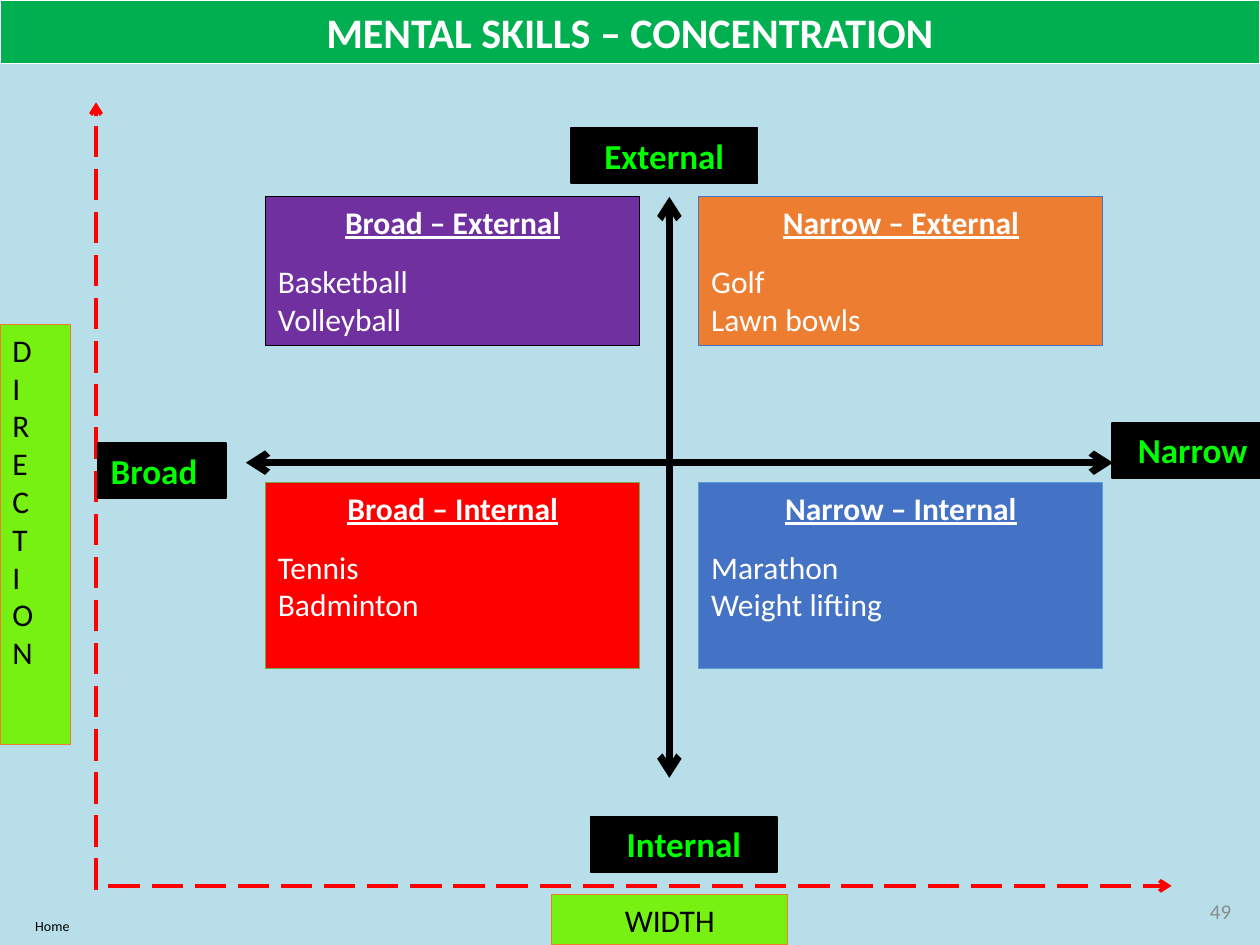
import dataclasses

import pptx
import pptx.dml.color
import pptx.enum.dml
import pptx.enum.shapes
import pptx.enum.text
import pptx.oxml
import pptx.oxml.ns
import pptx.util

Pt = pptx.util.Pt
ALIGN = pptx.enum.text.PP_ALIGN
ANCHOR = pptx.enum.text.MSO_ANCHOR


@dataclasses.dataclass(frozen=True)
class Theme:
    font: str = "Calibri"
    background: str = "B7DEE9"
    black: str = "000000"
    white: str = "FFFFFF"
    red: str = "FF0000"
    title_green: str = "00B050"
    lime: str = "76F112"
    pole_text: str = "00FF00"
    purple: str = "7030A0"
    orange: str = "ED7D31"
    blue: str = "4472C4"
    light_blue: str = "5B9BD5"
    leaf: str = "70AD47"
    grey: str = "8C8C8C"
    title_size: int = 24
    pole_size: int = 20
    body_size: int = 18
    number_size: int = 12
    home_size: int = 8


THEME = Theme()


def rgb(value):
    return pptx.dml.color.RGBColor.from_string(value)


def style_paragraph(paragraph, size, color, align=ALIGN.LEFT, bold=False, underline=False):
    paragraph.alignment = align
    font = paragraph.font
    font.name = THEME.font
    font.size = Pt(size)
    font.color.rgb = rgb(color)
    font.bold = bold
    font.underline = underline


def add_box(slide, bounds, fill, line, line_width=0.5):
    shape = slide.shapes.add_shape(
        pptx.enum.shapes.MSO_SHAPE.RECTANGLE, *[Pt(value) for value in bounds])
    shape.shadow.inherit = False
    shape.fill.solid()
    shape.fill.fore_color.rgb = rgb(fill)
    shape.line.color.rgb = rgb(line)
    shape.line.width = Pt(line_width)
    shape.text_frame.word_wrap = True
    shape.text_frame.vertical_anchor = ANCHOR.TOP
    return shape


def add_label(slide, bounds, text, fill, line, size, color,
              align=ALIGN.CENTER, bold=False, line_width=0.5):
    shape = add_box(slide, bounds, fill, line, line_width)
    shape.text_frame.text = text
    style_paragraph(shape.text_frame.paragraphs[0], size, color, align, bold)
    return shape


def add_pole(slide, left, top, width, text, align=ALIGN.CENTER):
    """Name one end of an attention axis."""
    add_label(slide, (left, top, width, 31.7), text, THEME.black, THEME.black,
              THEME.pole_size, THEME.pole_text, align, bold=True, line_width=1)


def add_stacked_label(slide, bounds, text):
    """Label with upright letters set one below the other."""
    shape = add_label(slide, bounds, text, THEME.lime, THEME.orange,
                      THEME.body_size, THEME.black, ALIGN.LEFT)
    shape.text_frame.word_wrap = False
    shape.text_frame.vertical_anchor = ANCHOR.MIDDLE
    body = shape.text_frame._txBody.find(pptx.oxml.ns.qn("a:bodyPr"))
    body.set("vert", "wordArtVert")


def add_quadrant(slide, bounds, heading, sports, fill, line):
    frame = add_box(slide, bounds, fill, line).text_frame
    frame.text = "\n".join([heading, *sports])
    title, *items = frame.paragraphs
    style_paragraph(title, THEME.body_size, THEME.white, ALIGN.CENTER, True, True)
    for item in items:
        style_paragraph(item, THEME.body_size, THEME.white)
    items[0].space_before = Pt(12)


def add_arrow(slide, start, end, color, width, ends, dashed=False):
    connector = slide.shapes.add_connector(
        pptx.enum.shapes.MSO_CONNECTOR.STRAIGHT,
        *[Pt(value) for value in (*start, *end)])
    connector.line.color.rgb = rgb(color)
    connector.line.width = Pt(width)
    if dashed:
        connector.line.dash_style = pptx.enum.dml.MSO_LINE.LONG_DASH
    line = connector.line._get_or_add_ln()
    for end_name in ends:
        line.append(pptx.oxml.parse_xml(
            f'<a:{end_name} {pptx.oxml.ns.nsdecls("a")} type="arrow"/>'))
    connector._element.spPr.append(pptx.oxml.parse_xml(
        f'<a:effectLst {pptx.oxml.ns.nsdecls("a")}/>'))


def add_text(slide, bounds, text, size, color, align, anchor):
    frame = slide.shapes.add_textbox(*[Pt(value) for value in bounds]).text_frame
    frame.word_wrap = True
    frame.vertical_anchor = anchor
    frame.text = text
    style_paragraph(frame.paragraphs[0], size, color, align)


def main():
    presentation = pptx.Presentation()
    presentation.slide_width, presentation.slide_height = Pt(720), Pt(540)
    slide = presentation.slides.add_slide(presentation.slide_layouts[6])
    slide.background.fill.solid()
    slide.background.fill.fore_color.rgb = rgb(THEME.background)

    for start, end in (((54.9, 508.5), (54.9, 58.5)), ((62, 506.2), (669.5, 506.2))):
        add_arrow(slide, start, end, THEME.red, 2.25, ["tailEnd"], dashed=True)
    add_stacked_label(slide, (0, 185.5, 40.3, 240), "DIRECTION")
    add_label(slide, (315.2, 511.2, 135, 28.8), "WIDTH", THEME.lime, THEME.orange,
              THEME.body_size, THEME.black)

    broad, narrow = (151.7, 214), (399.3, 231)
    external, internal = (112.5, 85), (275.8, 106.3)
    quadrants = [
        (broad, external, "Broad – External", ["Basketball", "Volleyball"],
         THEME.purple, THEME.black),
        (narrow, internal, "Narrow – Internal", ["Marathon", "Weight lifting"],
         THEME.blue, THEME.light_blue),
        (narrow, external, "Narrow – External", ["Golf", "Lawn bowls"],
         THEME.orange, THEME.blue),
        (broad, internal, "Broad – Internal", ["Tennis", "Badminton"],
         THEME.red, THEME.leaf),
    ]
    for (left, width), (top, height), heading, sports, fill, line in quadrants:
        add_quadrant(slide, (left, top, width, height), heading, sports, fill, line)

    for start, end in (((382.5, 112.5), (382.5, 444.5)), ((140.5, 264.4), (636, 264.4))):
        add_arrow(slide, start, end, THEME.black, 4, ["headEnd", "tailEnd"])
    add_pole(slide, 337.5, 466.7, 106.6, "Internal")
    add_pole(slide, 635.5, 241.6, 84.5, "Narrow", ALIGN.RIGHT)
    add_pole(slide, 326.2, 73.1, 106.6, "External")
    add_pole(slide, 56.2, 253.1, 73.2, "Broad", ALIGN.LEFT)

    add_text(slide, (548.6, 506.5, 162, 28.8), "49", THEME.number_size, THEME.grey,
             ALIGN.RIGHT, ANCHOR.MIDDLE)
    add_text(slide, (-3, 520.5, 66, 17), "Home", THEME.home_size, THEME.black,
             ALIGN.CENTER, ANCHOR.TOP)
    add_label(slide, (0, 0, 720, 36.3), "MENTAL SKILLS – CONCENTRATION",
              THEME.title_green, THEME.white, THEME.title_size, THEME.white,
              bold=True, line_width=0.75)
    presentation.save("out.pptx")


if __name__ == "__main__":
    main()
